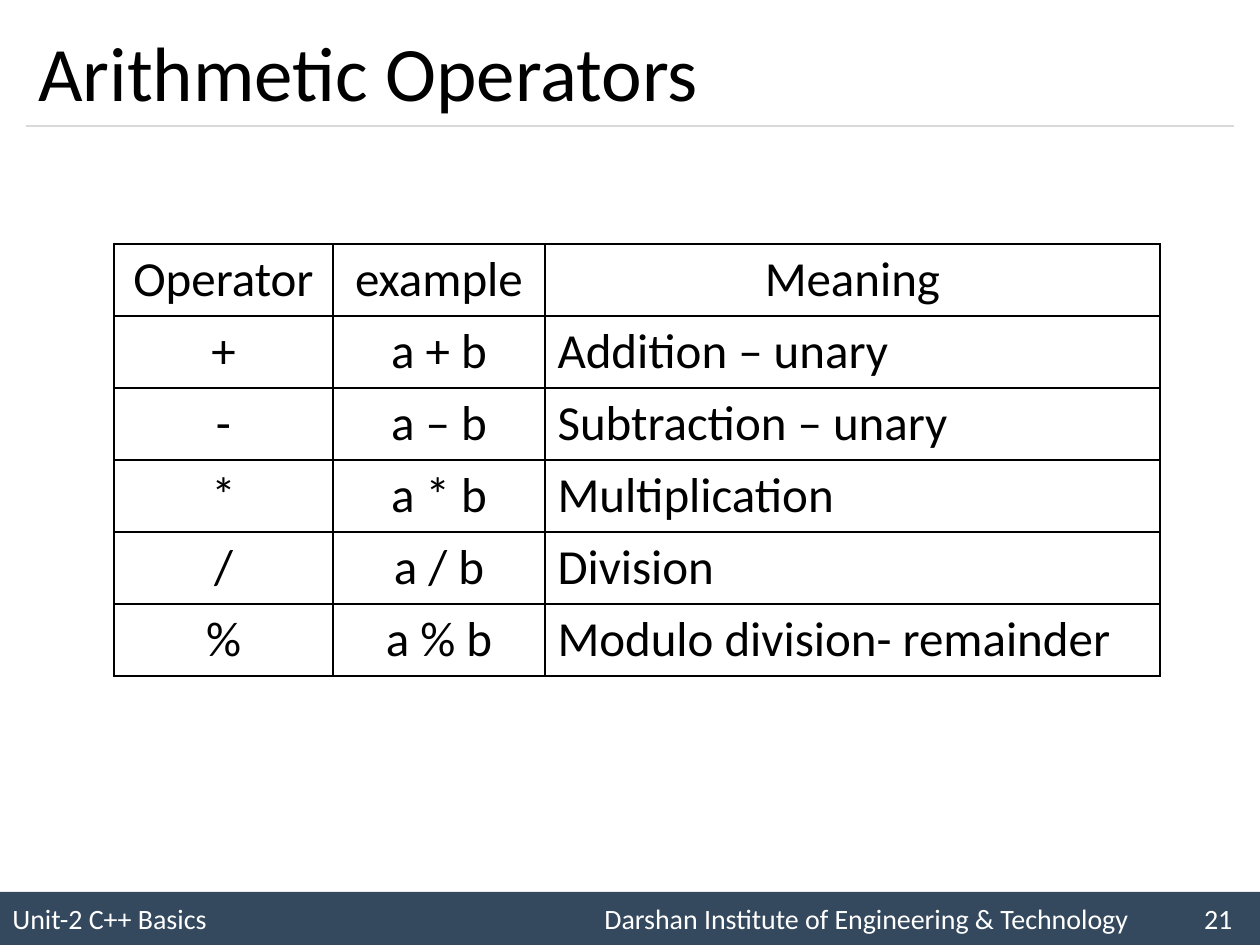
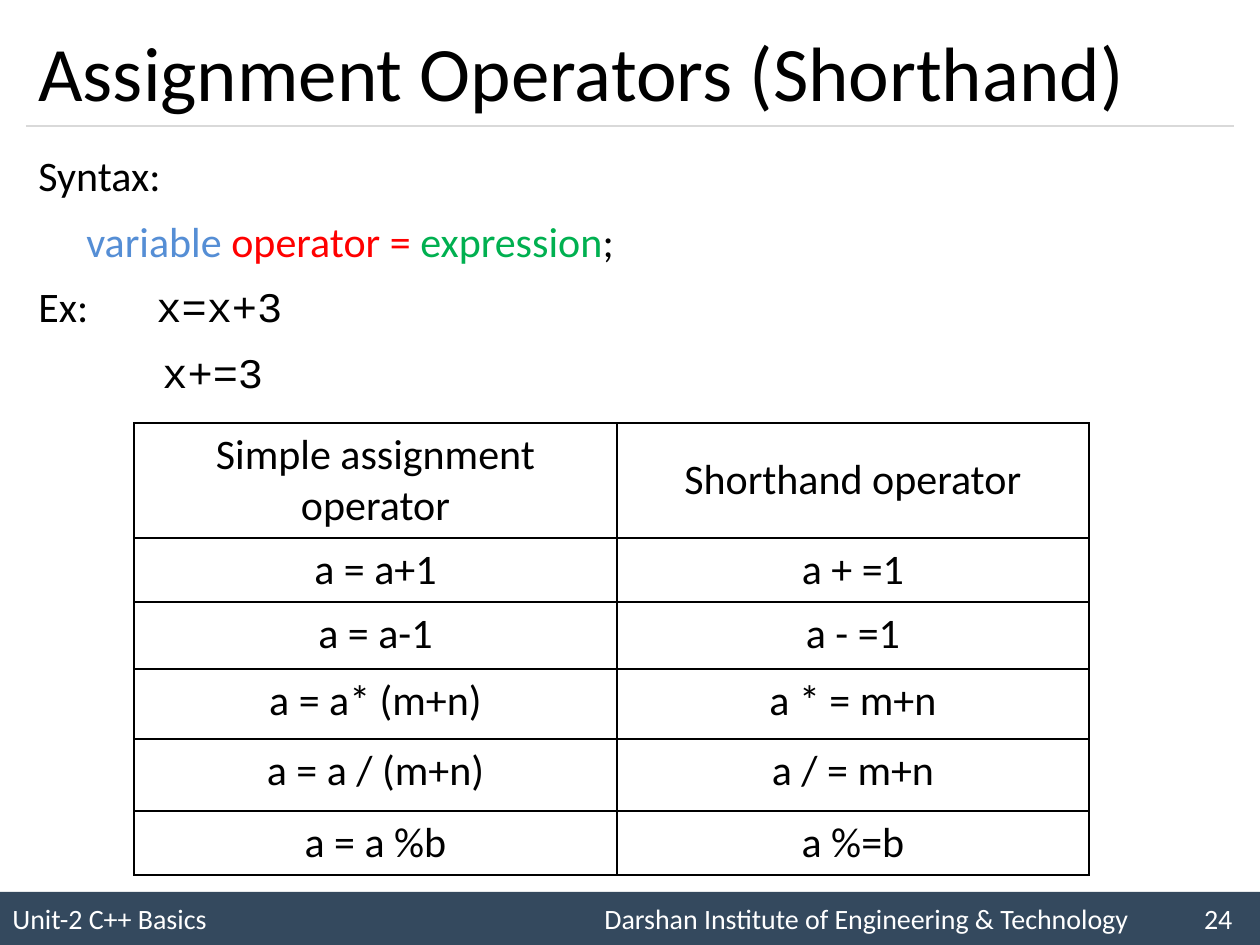
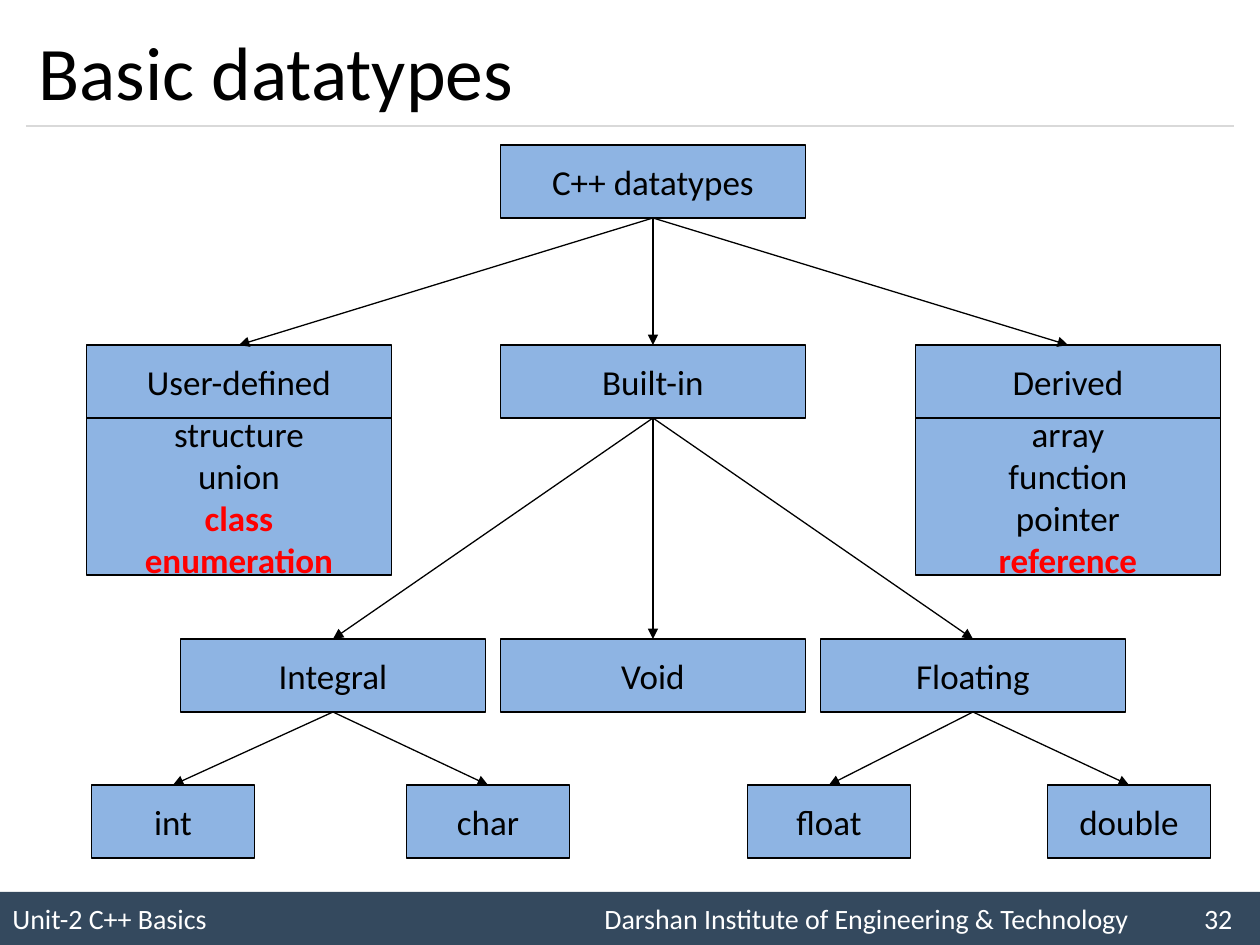
from collections import namedtuple

from lxml.etree import SubElement
from pptx import Presentation
from pptx.dml.color import RGBColor
from pptx.enum.shapes import MSO_CONNECTOR as Connector, MSO_SHAPE as Shape
from pptx.enum.text import MSO_ANCHOR as Anchor, PP_ALIGN as Align
from pptx.oxml import parse_xml
from pptx.oxml.ns import nsdecls, qn
from pptx.util import Emu, Pt

Box = namedtuple("Box", "left top width height")
Span = namedtuple("Span", "text color bold font", defaults=("000000", False, "Calibri"))

PAGE = Box(0, 0, 1260, 945)
TITLE = Box(26, 15, 1208, 111)
BODY = Box(26, 136, 1208, 735)
FOOTER = Box(0, 892, 1260, 53)

BLACK, WHITE, RED = "000000", "FFFFFF", "FF0000"
NAVY, RULE_GREY, NODE_BLUE = "34495E", "D9D9D9", "8EB4E3"
VARIABLE_BLUE, EXPRESSION_GREEN = "558ED5", "00B050"
CODE_FONT = "Courier New"

OPERATORS = [
    ("Operator", "example", "Meaning"),
    ("+", "a + b", "Addition – unary"),
    ("-", "a – b", "Subtraction – unary"),
    ("*", "a * b", "Multiplication"),
    ("/", "a / b", "Division"),
    ("%", "a % b", "Modulo division- remainder"),
]
SHORTHANDS = [
    ("Simple assignment operator", "Shorthand operator"),
    ("a = a+1", "a + =1"),
    ("a = a-1", "a - =1"),
    ("a = a* (m+n)", "a * = m+n"),
    ("a = a / (m+n)", "a / = m+n"),
    ("a = a %b", "a %=b"),
]
SYNTAX = [
    (0, 0, [Span("Syntax:")]),
    (48, 0, [Span("variable ", VARIABLE_BLUE), Span("operator = ", RED),
             Span("expression", EXPRESSION_GREEN), Span(";")]),
    (118, -118, [Span("Ex:\t"), Span("x=x+3", font=CODE_FONT)]),
    (124, 0, [Span("x+=3", font=CODE_FONT)]),
]
WIDE, NARROW, NODE_HEIGHT, MEMBERS_HEIGHT = 305, 163, 73, 157
LEVEL_TOPS = (0, 200, 494, 640)
TREE = [
    ("C++ datatypes", None, 567, 0, WIDE),
    ("User-defined", "C++ datatypes", 153, 1, WIDE),
    ("Built-in", "C++ datatypes", 567, 1, WIDE),
    ("Derived", "C++ datatypes", 982, 1, WIDE),
    ("Integral", "Built-in", 247, 2, WIDE),
    ("Void", "Built-in", 567, 2, WIDE),
    ("Floating", "Built-in", 887, 2, WIDE),
    ("int", "Integral", 87, 3, NARROW),
    ("char", "Integral", 402, 3, NARROW),
    ("float", "Floating", 743, 3, NARROW),
    ("double", "Floating", 1043, 3, NARROW),
]
MEMBERS = {
    "User-defined": [Span("structure"), Span("union"),
                     Span("class", RED, True), Span("enumeration", RED, True)],
    "Derived": [Span("array"), Span("function"), Span("pointer"),
                Span("reference", RED, True)],
}


def px(length):
    """Turn pixels into EMU."""
    return Emu(round(length * 914400 / 126))


def rgb(color):
    """Turn a hex string into a colour."""
    return RGBColor.from_string(color)


def place(box):
    """Return the EMU position and size of a box."""
    return [px(length) for length in box]


def write(para, spans, size, align=Align.LEFT):
    """Add spans to a paragraph as runs."""
    para.alignment = align
    for span in spans:
        run = para.add_run()
        run.text = span.text
        font = run.font
        font.name, font.size, font.bold = span.font, Pt(size), span.bold
        font.color.rgb = rgb(span.color)


def write_lines(frame, lines, size, align=Align.LEFT):
    """Write each list of spans as one paragraph and return the paragraphs."""
    paras = []
    for index, spans in enumerate(lines):
        para = frame.add_paragraph() if index else frame.paragraphs[0]
        write(para, spans, size, align)
        paras.append(para)
    return paras


def add_box(page, box, fill, line=None):
    """Add a plain rectangle."""
    shape = page.shapes.add_shape(Shape.RECTANGLE, *place(box))
    shape.shadow.inherit = False
    shape.fill.solid()
    shape.fill.fore_color.rgb = rgb(fill)
    if line:
        shape.line.color.rgb = rgb(line)
        shape.line.width = Pt(0.75)
    else:
        shape.line.fill.background()
    shape.text_frame.vertical_anchor = Anchor.MIDDLE
    return shape


def add_line(page, start, end, color):
    """Add a thin straight line without a shadow."""
    line = page.shapes.add_connector(
        Connector.STRAIGHT, *[px(length) for length in (*start, *end)])
    line.line.color.rgb = rgb(color)
    line.line.width = Pt(0.75)
    SubElement(line._element.spPr, qn("a:effectLst"))
    return line


def add_title(page, box, text, size):
    """Add the title and the rule below it."""
    frame = page.shapes.add_textbox(*place(box)).text_frame
    frame.word_wrap = True
    frame.vertical_anchor = Anchor.MIDDLE
    write(frame.paragraphs[0], [Span(text)], size)
    bottom = box.top + box.height
    add_line(page, (box.left, bottom), (box.left + box.width, bottom), RULE_GREY)


def add_footer(page, box, number):
    """Add the band with unit, institute and page number."""
    para = add_box(page, box, NAVY).text_frame.paragraphs[0]
    tabs = SubElement(para._p.get_or_add_pPr(), qn("a:tabLst"))
    for position, align in ((592, "l"), (box.width - 40, "r")):
        SubElement(tabs, qn("a:tab"), pos=str(px(position)), algn=align)
    parts = ("Unit-2 C++ Basics", "Darshan Institute of Engineering & Technology", str(number))
    write(para, [Span("\t".join(parts), WHITE)], 16)


def add_page(deck, title, number, title_size=44):
    """Add a page with the shared title and footer."""
    page = deck.slides.add_slide(deck.slide_layouts[6])
    add_footer(page, FOOTER, number)
    add_title(page, TITLE, title, title_size)
    return page


def border_cell(cell):
    """Give a cell a black border on all sides."""
    props = cell._tc.get_or_add_tcPr()
    for index, side in enumerate(("lnL", "lnR", "lnT", "lnB")):
        props.insert(index, parse_xml(
            f'<a:{side} {nsdecls("a")} w="{Pt(1)}"><a:solidFill>'
            f'<a:srgbClr val="{BLACK}"/></a:solidFill></a:{side}>'))


def add_grid(page, left, top, widths, heights, rows, size, left_column=None):
    """Add a bordered table, with one column left-aligned below its heading."""
    box = Box(left, top, sum(widths), sum(heights))
    table = page.shapes.add_table(len(rows), len(widths), *place(box)).table
    table.first_row = table.horz_banding = False
    for column, width in zip(table.columns, widths):
        column.width = px(width)
    for row, height in zip(table.rows, heights):
        row.height = px(height)
    for r, texts in enumerate(rows):
        for c, text in enumerate(texts):
            cell = table.cell(r, c)
            cell.fill.background()
            border_cell(cell)
            if r == 0:
                cell.vertical_anchor = Anchor.MIDDLE
            align = Align.LEFT if r and c == left_column else Align.CENTER
            write(cell.text_frame.paragraphs[0], [Span(text)], size, align)


def add_syntax(page, box):
    """Add the syntax line and its examples."""
    frame = page.shapes.add_textbox(*place(box)).text_frame
    frame.word_wrap = True
    paras = write_lines(frame, [spans for _, _, spans in SYNTAX], 24)
    for index, (para, (margin, indent, _)) in enumerate(zip(paras, SYNTAX)):
        props = para._p.get_or_add_pPr()
        props.set("marL", str(px(margin)))
        props.set("indent", str(px(indent)))
        para.line_spacing = 1.14
        if index:
            para.space_before = Pt(4.8)


def add_node(page, box, lines):
    """Add one box of the tree with centred lines."""
    node = add_box(page, box, NODE_BLUE, BLACK)
    node.text_frame.word_wrap = False
    write_lines(node.text_frame, [[span] for span in lines], 20, Align.CENTER)
    return node


def add_arrow(page, parent, child):
    """Join the bottom of a parent to the top of its child."""
    arrow = add_line(page, (0, 0), (0, 0), BLACK)
    arrow.begin_connect(parent, 2)
    arrow.end_connect(child, 0)
    SubElement(arrow.line._get_or_add_ln(), qn("a:tailEnd"), type="triangle")


def add_tree(page, left, top):
    """Add the tree of datatypes."""
    nodes = {}
    for name, _, centre, level, width in TREE:
        box = Box(left + centre - width / 2, top + LEVEL_TOPS[level], width, NODE_HEIGHT)
        nodes[name] = add_node(page, box, [Span(name)])
        if name in MEMBERS:
            below = box._replace(top=box.top + NODE_HEIGHT, height=MEMBERS_HEIGHT)
            add_node(page, below, MEMBERS[name])
    for name, parent, *_ in TREE:
        if parent:
            add_arrow(page, nodes[parent], nodes[name])


def main():
    """Build the deck."""
    deck = Presentation()
    deck.slide_width, deck.slide_height = px(PAGE.width), px(PAGE.height)

    page = add_page(deck, "Arithmetic Operators", 21)
    add_grid(page, 114, 244, (219, 212, 615), [72] * len(OPERATORS), OPERATORS, 28, 2)

    page = add_page(deck, "Assignment Operators (Shorthand)", 24)
    add_syntax(page, BODY)
    add_grid(page, 134, 423, (483, 472), (115, 64, 67, 70, 72, 64), SHORTHANDS, 24)

    page = add_page(deck, "Basic datatypes", 32, 43.2)
    add_tree(page, 86, 145)

    deck.save("out.pptx")


if __name__ == "__main__":
    main()
